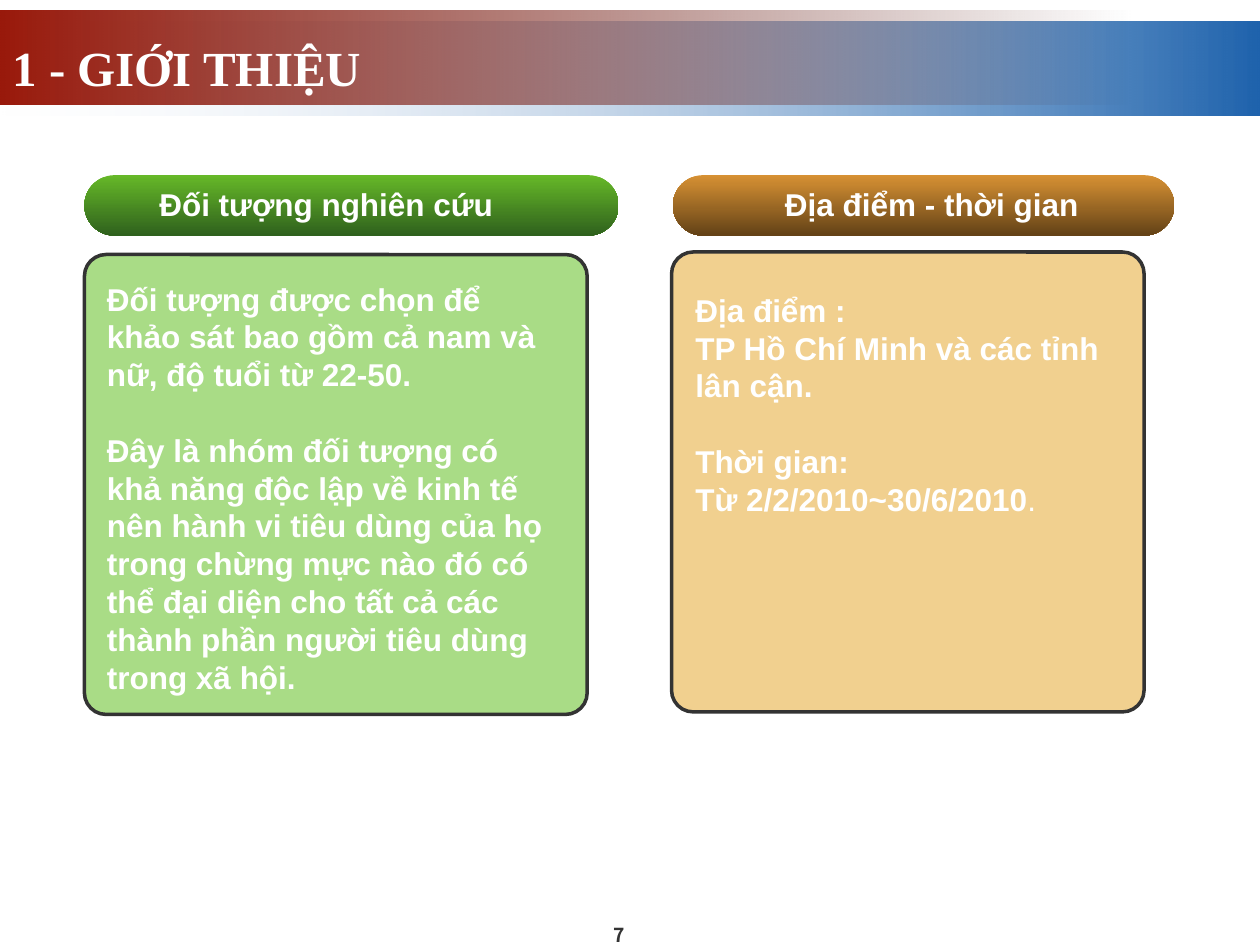
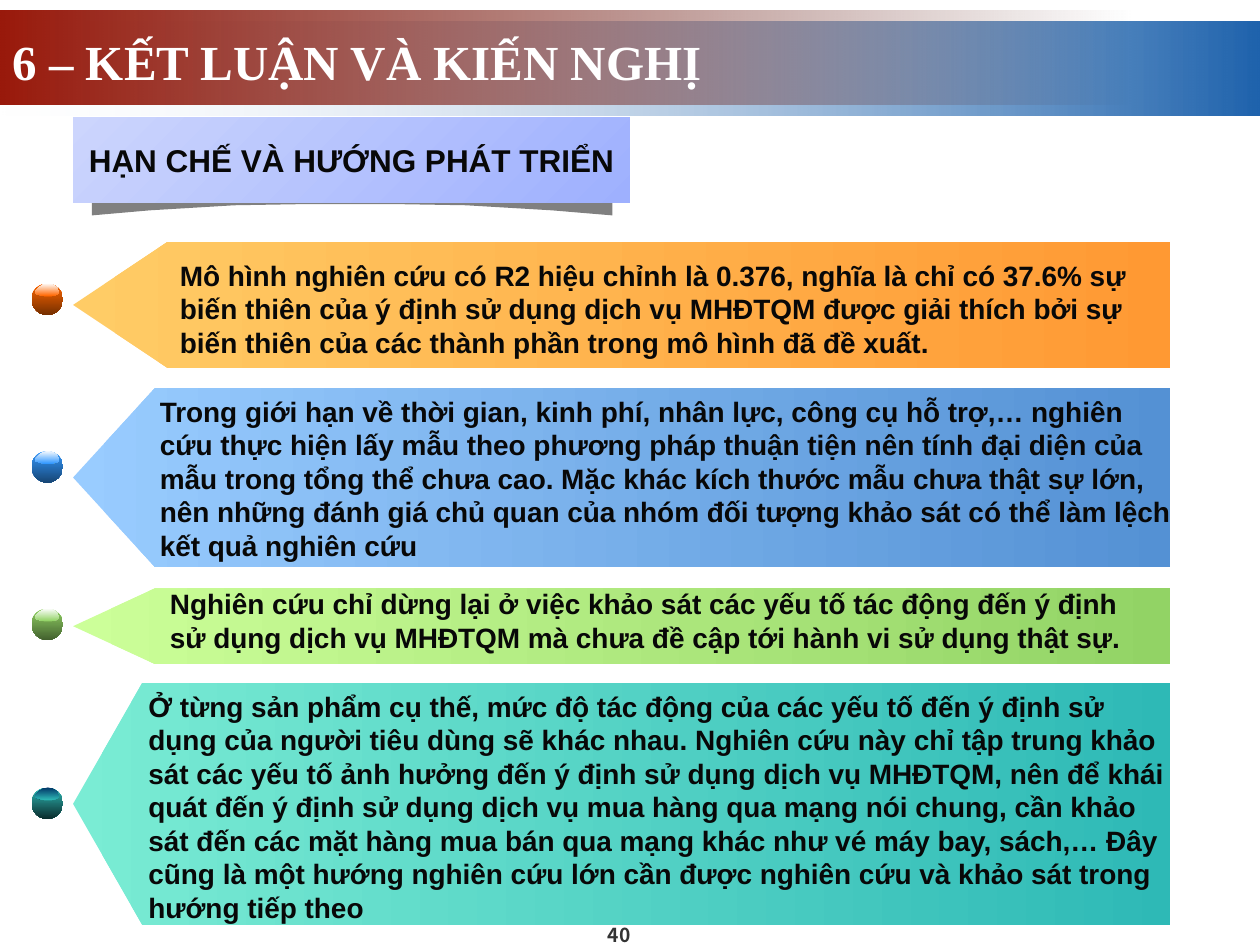
from pptx import Presentation
from pptx.dml.color import RGBColor
from pptx.enum.shapes import MSO_SHAPE as Shape
from pptx.enum.text import MSO_ANCHOR as Anchor, MSO_AUTO_SIZE as AutoSize, PP_ALIGN as Align
from pptx.oxml import parse_xml
from pptx.oxml.ns import nsdecls, qn
from pptx.util import Inches, Pt

# ---- Shared style: boxes are (left, top, width, height) in inches ----
WHITE, INK, DARK = "FFFFFF", "080808", "333333"
TITLE_STYLE = dict(name="Times New Roman", size=28, bold=True, color=WHITE)
CARD_STYLE = dict(name="Arial", size=18, bold=True, color=WHITE)
BADGE_STYLE = dict(CARD_STYLE, color=INK)
ARROW_STYLE = dict(name="Arial", size=16, bold=True, color=INK)
NUMBER_STYLE = dict(name="Noto Sans CJK KR", size=11, bold=True, color=DARK)
MARGINS = dict(margin_left=0.1, margin_top=0.05, margin_right=0.1, margin_bottom=0.05)
NO_MARGINS = dict.fromkeys(MARGINS, 0)
NUMBER_BOX = (4.33, 7.34, 1.17, 0.16)

# Gradient stops are (colour, opacity in percent)
BANDS = [
    ((0, 0.17, 10, 0.75), [("1F63AD", 100), ("E2EAF3", 0)]),
    ((0, 0.08, 9, 0.75), [("460B05", 0), ("99190B", 100)]),
]

# ---- Slide 1 content ----
PARAGRAPH_GAP = 21.6
INTRO = dict(title="1 - GIỚI THIỆU", title_box=(0, 0.25, 9.58, 0.57), number="7")
CARDS = [
    dict(
        heading="Đối tượng nghiên cứu", heading_box=(0.67, 1.42, 3.84, 0.4),
        pill=(0.67, 1.39, 4.24, 0.48), pill_colors=("66B828", "2F611D"),
        card=(0.67, 2.02, 3.99, 3.65), card_color="A9DC86",
        body_box=(0.75, 2.17, 3.71, 3.4),
        body=[
            (0, "Đối tượng được chọn để khảo sát bao gồm cả nam và nữ, độ tuổi từ 22-50."),
            (PARAGRAPH_GAP, "Đây là nhóm đối tượng có khả năng độc lập về kinh tế nên hành vi "
             "tiêu dùng của họ trong chừng mực nào đó có thể đại diện cho tất cả các "
             "thành phần người tiêu dùng trong xã hội."),
        ],
    ),
    dict(
        heading="Địa điểm - thời gian", heading_box=(5.92, 1.42, 2.95, 0.4),
        pill=(5.34, 1.39, 3.98, 0.48), pill_colors=("D79133", "634217"),
        card=(5.33, 2, 3.75, 3.65), card_color="F1D08F",
        body_box=(5.42, 2.26, 3.48, 1.9),
        body=[
            (0, "Địa điểm :"),
            (0, "TP Hồ Chí Minh và các tỉnh lân cận."),
            (PARAGRAPH_GAP, "Thời gian:"),
            (0, "Từ 2/2/2010~30/6/2010"),
        ],
        light_ending=".",
    ),
]

# ---- Slide 2 content ----
CONCLUSION = dict(title="6 – KẾT LUẬN VÀ KIẾN NGHỊ", title_box=(0, 0.2, 10, 0.57), number="40")
BADGE_TEXT = "HẠN CHẾ VÀ HƯỚNG PHÁT TRIỂN"
BADGE_BOX = (0.58, 0.93, 4.42, 0.68)
BADGE_SHADOW = [
    (0.73, 1.46), (2.79, 1.38), (4.86, 1.46), (4.86, 1.71), (4.38, 1.67), (3.7, 1.63),
    (3.11, 1.62), (2.45, 1.62), (1.86, 1.63), (1.19, 1.67), (0.73, 1.71),
]
ARROW_TIP, ARROW_RIGHT = 0.58, 9.29
BEAD_LEFT, BEAD_SIZE = 0.25, 0.25
# Outline of the shine, measured from the corner of its bead
SHINE = [
    (0.22, 0.06), (0.22, 0.08), (0.2, 0.09), (0.16, 0.1), (0.1, 0.1), (0.06, 0.09),
    (0.03, 0.08), (0.03, 0.06), (0.06, 0.03), (0.09, 0.01), (0.13, 0), (0.17, 0.01),
    (0.2, 0.03),
]
LIMITATIONS = [
    dict(
        top=1.92, height=1, shoulder=1.33, colors=("FFCC66", "FF9933"),
        bead_top=2.25, bead_colors=("FF6600", "752F00"), shine_colors=("FEFEFE", "FF6600"),
        text_box=(1.33, 2, 7.92, 0.9),
        text="Mô hình nghiên cứu có R2 hiệu chỉnh là 0.376, nghĩa là chỉ có 37.6% sự biến thiên "
             "của ý định sử dụng dịch vụ MHĐTQM được giải thích bởi sự biến thiên của các "
             "thành phần trong mô hình đã đề xuất.",
    ),
    dict(
        top=3.08, height=1.42, shoulder=1.23, colors=("99CCFF", "5491D4"),
        bead_top=3.58, bead_colors=("3399FF", "174675"), shine_colors=("F7FAFE", "3399FF"),
        text_box=(1.17, 3.08, 8.25, 1.44),
        text="Trong giới hạn về thời gian, kinh phí, nhân lực, công cụ hỗ trợ,… nghiên cứu "
             "thực hiện lấy mẫu theo phương pháp thuận tiện nên tính đại diện của mẫu trong "
             "tổng thể chưa cao. Mặc khác kích thước mẫu chưa thật sự lớn, nên những đánh giá "
             "chủ quan của nhóm đối tượng khảo sát có thể làm lệch kết quả nghiên cứu",
    ),
    dict(
        top=4.67, height=0.6, shoulder=1.23, colors=("CCFF99", "92D365"),
        bead_top=4.83, bead_colors=("92D365", "43612E"), shine_colors=("FEFEFE", "92D365"),
        text_box=(1.25, 4.61, 7.92, 0.64),
        text="Nghiên cứu chỉ dừng lại ở việc khảo sát các yếu tố tác động đến ý định sử dụng "
             "dịch vụ MHĐTQM mà chưa đề cập tới hành vi sử dụng thật sự.",
    ),
    dict(
        top=5.42, height=1.92, shoulder=1.13, colors=("7AECD4", "2EB9B6"),
        bead_top=6.25, bead_colors=("2EB9B6", "0B2C2C"), shine_colors=("003366", "2EB9B6"),
        text_box=(1.08, 5.42, 8.33, 1.97),
        text="Ở từng sản phẩm cụ thế, mức độ tác động của các yếu tố đến ý định sử dụng của "
             "người tiêu dùng sẽ khác nhau. Nghiên cứu này chỉ tập trung khảo sát các yếu tố "
             "ảnh hưởng đến ý định sử dụng dịch vụ MHĐTQM, nên để khái quát đến ý định sử dụng "
             "dịch vụ mua hàng qua mạng nói chung, cần khảo sát đến các mặt hàng mua bán qua "
             "mạng khác như vé máy bay, sách,… Đây cũng là một hướng nghiên cứu lớn cần được "
             "nghiên cứu và khảo sát trong hướng tiếp theo",
    ),
]


# ---- Drawing helpers ----
def rgb(color):
    return RGBColor.from_string(color)


def inches(values):
    return [Inches(value) for value in values]


def paint(shape, color):
    shape.shadow.inherit = False
    shape.line.fill.background()
    shape.fill.solid()
    shape.fill.fore_color.rgb = rgb(color)


def paint_gradient(shape, stops, angle):
    """Fill with evenly spaced stops; the angle turns clockwise in degrees."""
    stops = [stop if isinstance(stop, tuple) else (stop, 100) for stop in stops]
    paint(shape, stops[0][0])
    stop_xml = "".join(
        f'<a:gs pos="{index * 100000 // (len(stops) - 1)}"><a:srgbClr val="{color}">'
        f'<a:alpha val="{opacity * 1000}"/></a:srgbClr></a:gs>'
        for index, (color, opacity) in enumerate(stops))
    gradient = parse_xml(
        f'<a:gradFill rotWithShape="1" {nsdecls("a")}><a:gsLst>{stop_xml}</a:gsLst>'
        f'<a:lin ang="{angle * 60000}" scaled="0"/></a:gradFill>')
    properties = shape._element.spPr
    properties.replace(properties.find(qn("a:solidFill")), gradient)


def add_outline(slide, points):
    start, *rest = [inches(point) for point in points]
    builder = slide.shapes.build_freeform(*start)
    builder.add_line_segments(rest, close=True)
    return builder.convert_to_shape()


def add_run(paragraph, text, style):
    run = paragraph.add_run()
    run.text = text
    formats = dict(style, size=Pt(style["size"]))
    run.font.color.rgb = rgb(formats.pop("color"))
    for name, value in formats.items():
        setattr(run.font, name, value)


def write(shape, paragraphs, style, align=Align.LEFT, anchor=Anchor.TOP, wrap=True,
          margins=MARGINS):
    """Write (space before, text) pairs into a shape and return the last paragraph."""
    frame = shape.text_frame
    frame.auto_size = AutoSize.NONE
    frame.word_wrap, frame.vertical_anchor = wrap, anchor
    for name, value in margins.items():
        setattr(frame, name, Inches(value))
    for index, (space, text) in enumerate(paragraphs):
        paragraph = frame.add_paragraph() if index else frame.paragraphs[0]
        paragraph.alignment, paragraph.space_before = align, Pt(space)
        add_run(paragraph, text, style)
    return paragraph


def add_text(slide, box, paragraphs, style, **options):
    return write(slide.shapes.add_textbox(*inches(box)), paragraphs, style, **options)


def add_bands(slide):
    """Put the two title bands on the slide's layout, behind its placeholders."""
    for position, (box, stops) in enumerate(BANDS, start=2):
        band = slide.shapes.add_shape(Shape.RECTANGLE, *inches(box))
        paint_gradient(band, stops, 180)
        slide.slide_layout.shapes._spTree.insert(position, band._element)


def add_slide(presentation, layout, content):
    slide = presentation.slides.add_slide(layout)
    title = slide.shapes.title
    title.left, title.top, title.width, title.height = inches(content["title_box"])
    write(title, [(0, content["title"])], TITLE_STYLE)
    add_text(slide, NUMBER_BOX, [(0, content["number"])], NUMBER_STYLE, align=Align.CENTER,
             anchor=Anchor.MIDDLE, wrap=False, margins=NO_MARGINS)
    return slide


# ---- Slide parts ----
def add_card(slide, content):
    card = slide.shapes.add_shape(Shape.ROUNDED_RECTANGLE, *inches(content["card"]))
    card.adjustments[0] = 0.047
    paint(card, content["card_color"])
    card.line.color.rgb, card.line.width = rgb(DARK), Pt(2)

    pill = slide.shapes.add_shape(Shape.ROUNDED_RECTANGLE, *inches(content["pill"]))
    pill.adjustments[0] = 0.5
    paint_gradient(pill, content["pill_colors"], 90)

    add_text(slide, content["heading_box"], [(0, content["heading"])], CARD_STYLE,
             align=Align.CENTER)
    last = add_text(slide, content["body_box"], content["body"], CARD_STYLE)
    if "light_ending" in content:
        add_run(last, content["light_ending"], dict(CARD_STYLE, bold=False))


def add_badge(slide):
    paint(add_outline(slide, BADGE_SHADOW), "808080")
    badge = slide.shapes.add_shape(Shape.RECTANGLE, *inches(BADGE_BOX))
    paint_gradient(badge, ("9EB0FE", "CCD5FD"), 225)
    write(badge, [(0, BADGE_TEXT)], BADGE_STYLE, align=Align.CENTER, anchor=Anchor.MIDDLE,
          wrap=False)


def add_limitation(slide, content):
    # Bead with its shine
    left, top = BEAD_LEFT, content["bead_top"]
    bead = slide.shapes.add_shape(Shape.OVAL, *inches((left, top, BEAD_SIZE, BEAD_SIZE)))
    paint_gradient(bead, content["bead_colors"], 90)
    shine = add_outline(slide, [(left + x, top + y) for x, y in SHINE])
    paint_gradient(shine, content["shine_colors"], 90)

    # Arrow pointing at the bead
    top, shoulder = content["top"], content["shoulder"]
    middle, bottom = top + content["height"] / 2, top + content["height"]
    arrow = add_outline(slide, [(ARROW_RIGHT, top), (shoulder, top), (ARROW_TIP, middle),
                                (shoulder, bottom), (ARROW_RIGHT, bottom)])
    paint_gradient(arrow, content["colors"], 0)
    add_text(slide, content["text_box"], [(0, content["text"])], ARROW_STYLE)


def main():
    presentation = Presentation()
    presentation.slide_width, presentation.slide_height = Inches(10), Inches(7.5)
    title_only = presentation.slide_layouts[5]

    intro = add_slide(presentation, title_only, INTRO)
    add_bands(intro)
    for content in CARDS:
        add_card(intro, content)

    conclusion = add_slide(presentation, title_only, CONCLUSION)
    add_badge(conclusion)
    for content in LIMITATIONS:
        add_limitation(conclusion, content)

    presentation.save("out.pptx")


if __name__ == "__main__":
    main()
